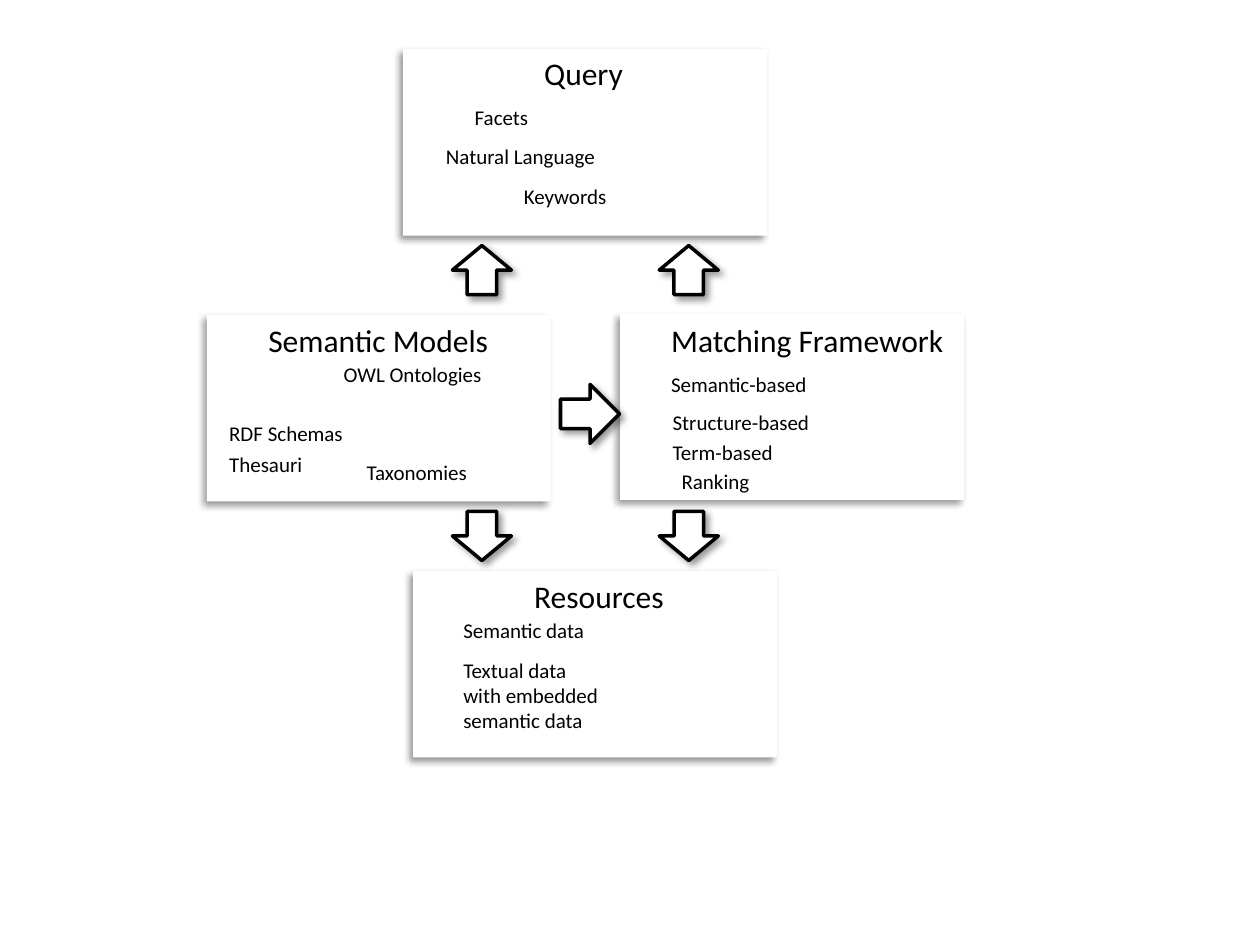
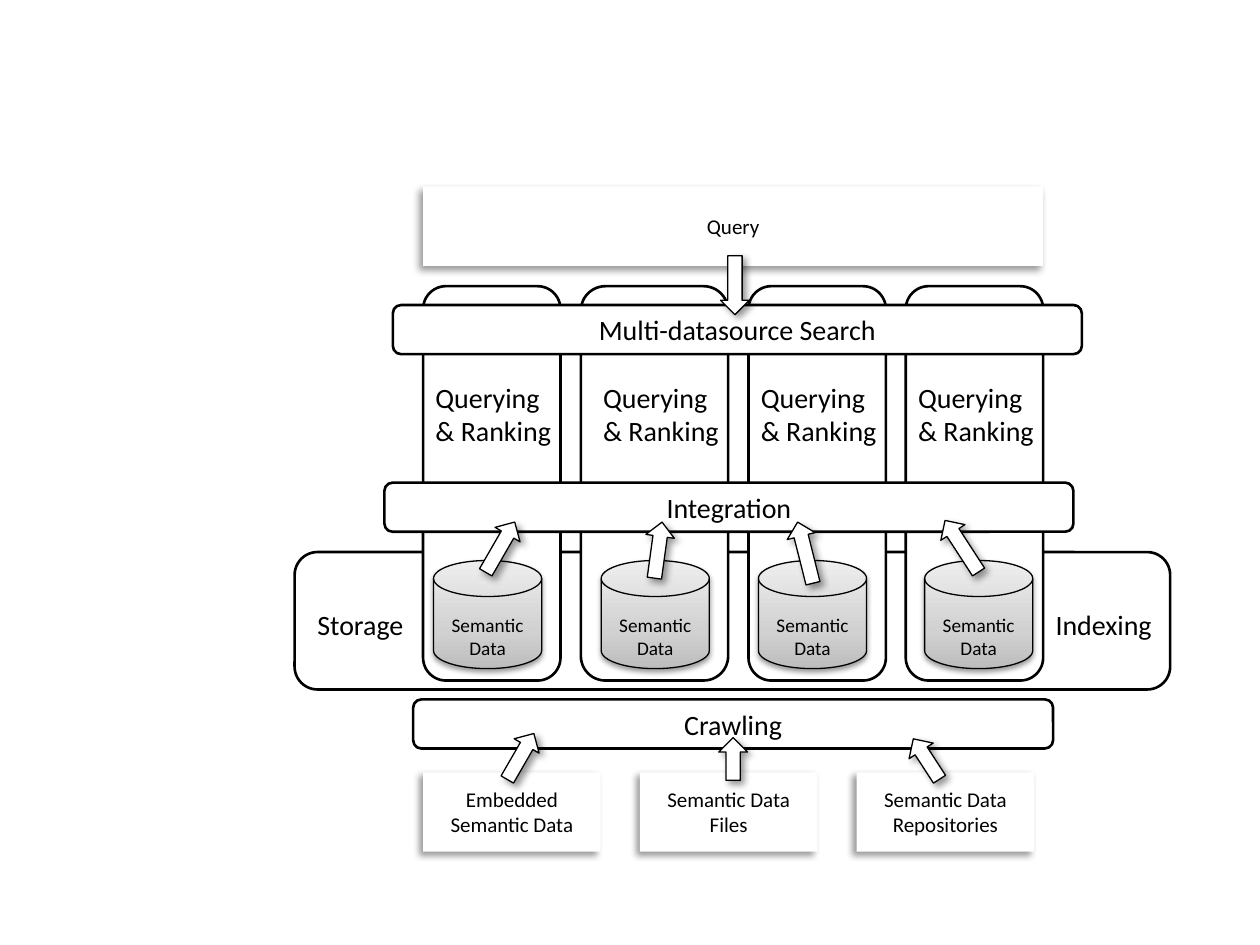
from pptx import Presentation
from pptx.dml.color import RGBColor
from pptx.enum.shapes import MSO_SHAPE
from pptx.enum.text import MSO_ANCHOR, MSO_AUTO_SIZE, PP_ALIGN
from pptx.oxml import parse_xml
from pptx.oxml.ns import nsdecls
from pptx.util import Cm, Pt

RECT = MSO_SHAPE.RECTANGLE
ROUND = MSO_SHAPE.ROUNDED_RECTANGLE
ARROW = MSO_SHAPE.RIGHT_ARROW
DISK = MSO_SHAPE.FLOWCHART_MAGNETIC_DISK
TOP, MIDDLE = MSO_ANCHOR.TOP, MSO_ANCHOR.MIDDLE
LEFT, CENTER = PP_ALIGN.LEFT, PP_ALIGN.CENTER
GROW = MSO_AUTO_SIZE.SHAPE_TO_FIT_TEXT

HEX = {"ink": "000000", "paper": "FFFFFF",
       "dark": "BDBDBD", "mid": "D1D1D1", "light": "EEEEEE"}


class Deck:
    font = "Calibri"

    def __init__(self):
        self.prs = Presentation()
        self.prs.slide_width, self.prs.slide_height = Cm(25.4), Cm(19.05)

    def page(self):
        self.slide = self.prs.slides.add_slide(self.prs.slide_layouts[6])

    def words(self, frame, lines, size, align=LEFT):
        frame.word_wrap = True
        for i, line in enumerate(lines):
            para = frame.add_paragraph() if i else frame.paragraphs[0]
            para.alignment = align
            run = para.add_run()
            run.text = line
            run.font.size = Pt(size)
            run.font.name = self.font
            run.font.color.rgb = RGBColor.from_string(HEX["ink"])

    def label(self, text, x, y, w, h, size):
        box = self.slide.shapes.add_textbox(Cm(x), Cm(y), Cm(w), Cm(h))
        self.words(box.text_frame, [text], size)
        box.text_frame.auto_size = GROW

    def shape(self, kind, x, y, w, h, line=None):
        item = self.slide.shapes.add_shape(kind, Cm(x), Cm(y), Cm(w), Cm(h))
        item.shadow.inherit = False
        item.fill.solid()
        item.fill.fore_color.rgb = RGBColor.from_string(HEX["paper"])
        if line:
            item.line.color.rgb = RGBColor.from_string(HEX["ink"])
            item.line.width = Pt(line)
        else:
            item.line.fill.background()
        return item

    def shade(self, item, angle, blur=4, dist=3, alpha=40):
        item._element.spPr.find("{*}effectLst").append(parse_xml(
            f'<a:outerShdw {nsdecls("a")} blurRad="{Pt(blur)}" '
            f'dist="{Pt(dist)}" dir="{angle * 60000}" algn="tl" '
            f'rotWithShape="0"><a:srgbClr val="{HEX["ink"]}">'
            f'<a:alpha val="{alpha * 1000}"/></a:srgbClr></a:outerShdw>'))

    def panel(self, x, y, w, h, text=None):
        item = self.shape(RECT, x, y, w, h)
        self.shade(item, 135)
        if text:
            self.words(item.text_frame, [text], 12, CENTER)
            item.text_frame.vertical_anchor = MIDDLE

    def bar(self, x, y, w, h, text=None):
        item = self.shape(ROUND, x, y, w, h, 1.5)
        if text:
            self.words(item.text_frame, [text], 16, CENTER)
            item.text_frame.vertical_anchor = MIDDLE

    def arrow(self, x, y, w, h, turn=0, line=0.75):
        item = self.shape(ARROW, x, y, w, h, line)
        item.rotation = turn
        self.shade(item, 45)

    def disk(self, x, y, side, lines):
        item = self.shape(DISK, x, y, side, side, 0.75)
        stops = "".join(
            f'<a:gs pos="{pos * 1000}"><a:srgbClr val="{HEX[name]}"/></a:gs>'
            for pos, name in ((0, "dark"), (35, "mid"), (100, "light")))
        props = item._element.spPr
        props.replace(props.find("{*}solidFill"), parse_xml(
            f'<a:gradFill {nsdecls("a")} rotWithShape="1"><a:gsLst>{stops}'
            '</a:gsLst><a:lin ang="16200000" scaled="0"/></a:gradFill>'))
        self.shade(item, 90, 3.1, 1.6, 38)
        frame = item.text_frame
        self.words(frame, lines, 11, CENTER)
        frame.vertical_anchor = TOP
        frame.margin_top, frame.margin_bottom = Cm(0.33), 0


def model(deck):
    deck.page()
    for x, y, w in ((8.13, 0.99, 7.34), (8.33, 11.51, 7.34),
                    (4.17, 6.35, 6.93), (12.5, 6.32, 6.93)):
        deck.panel(x, y, w, 3.76)
    for y, turn in ((4.85, 270), (10.21, 90)):
        for x in (13.39, 9.22):
            deck.arrow(x, y, 0.99, 1.19, turn, 2)
    deck.arrow(11.3, 7.75, 1.19, 1.19, line=2)
    for text, x, y, w in (("Query", 10.72, 0.97, 2.18),
                          ("Matching Framework", 13.28, 6.35, 7.34),
                          ("Resources", 10.52, 11.51, 3.18),
                          ("Semantic Models", 5.16, 6.35, 5.16)):
        deck.label(text, x, y, w, 1.02, 18)
    for text, x, y, w in (("RDF Schemas", 4.37, 8.36, 3.96),
                          ("Taxonomies", 7.14, 9.14, 2.59),
                          ("Thesauri", 4.37, 8.97, 2.18),
                          ("OWL Ontologies", 6.68, 7.16, 4.22),
                          ("Keywords", 10.31, 3.58, 3.96),
                          ("Natural Language", 8.74, 2.77, 5.16),
                          ("Facets", 9.32, 1.98, 4.17),
                          ("Term-based", 13.31, 8.74, 3.38),
                          ("Structure-based", 13.31, 8.13, 3.58),
                          ("Semantic-based", 13.28, 7.37, 4.17),
                          ("Semantic data", 9.09, 12.32, 3.58),
                          ("Ranking", 13.49, 9.32, 1.98)):
        deck.label(text, x, y, w, 0.76, 12)
    deck.label("Textual data with embedded semantic data",
               9.09, 13.13, 3.38, 1.8, 12)


def layers(deck):
    deck.page()
    deck.bar(5.94, 11.13, 17.65, 2.77)
    for x, w in ((18.26, 2.77), (15.09, 2.77), (11.71, 2.97), (8.53, 2.77)):
        deck.bar(x, 5.77, w, 7.95)
    for i, text in enumerate(("Embedded Semantic Data", "Semantic Data Files",
                              "Semantic Data Repositories")):
        deck.panel(8.53 + 4.37 * i, 15.57, 3.58, 1.6, text)
    deck.panel(8.53, 3.76, 12.5, 1.6, "Query")
    for x in (8.74, 12.12, 15.29, 18.64):
        deck.disk(x, 11.3, 2.18, ("Semantic", "Data"))
    for text, x, y, w in (("Integration", 7.75, 9.73, 13.89),
                          ("Crawling", 8.33, 14.1, 12.9),
                          ("Multi-datasource Search", 7.92, 6.15, 13.89)):
        deck.bar(x, y, w, 0.99, text)
    for x, y, w, turn in ((12.7, 10.8, 1.14, 277.8), (9.5, 10.74, 1.17, 300),
                          (15.6, 10.85, 1.27, 255.9), (18.77, 10.72, 1.24, 237),
                          (9.96, 14.96, 1.07, 300), (14.35, 15.01, 0.86, 270),
                          (18.19, 15.01, 0.97, 237), (14.22, 5.46, 1.19, 90)):
        deck.arrow(x, y, w, 0.58, turn)
    deck.label("Storage", 6.15, 12.12, 2.97, 0.94, 16)
    deck.label("Indexing", 21.03, 12.12, 2.77, 0.94, 16)
    for x in (8.53, 11.91, 15.09, 18.26):
        deck.label("Querying & Ranking", x, 7.54, 2.97, 1.63, 16)


deck = Deck()
model(deck)
layers(deck)
deck.prs.save("out.pptx")
